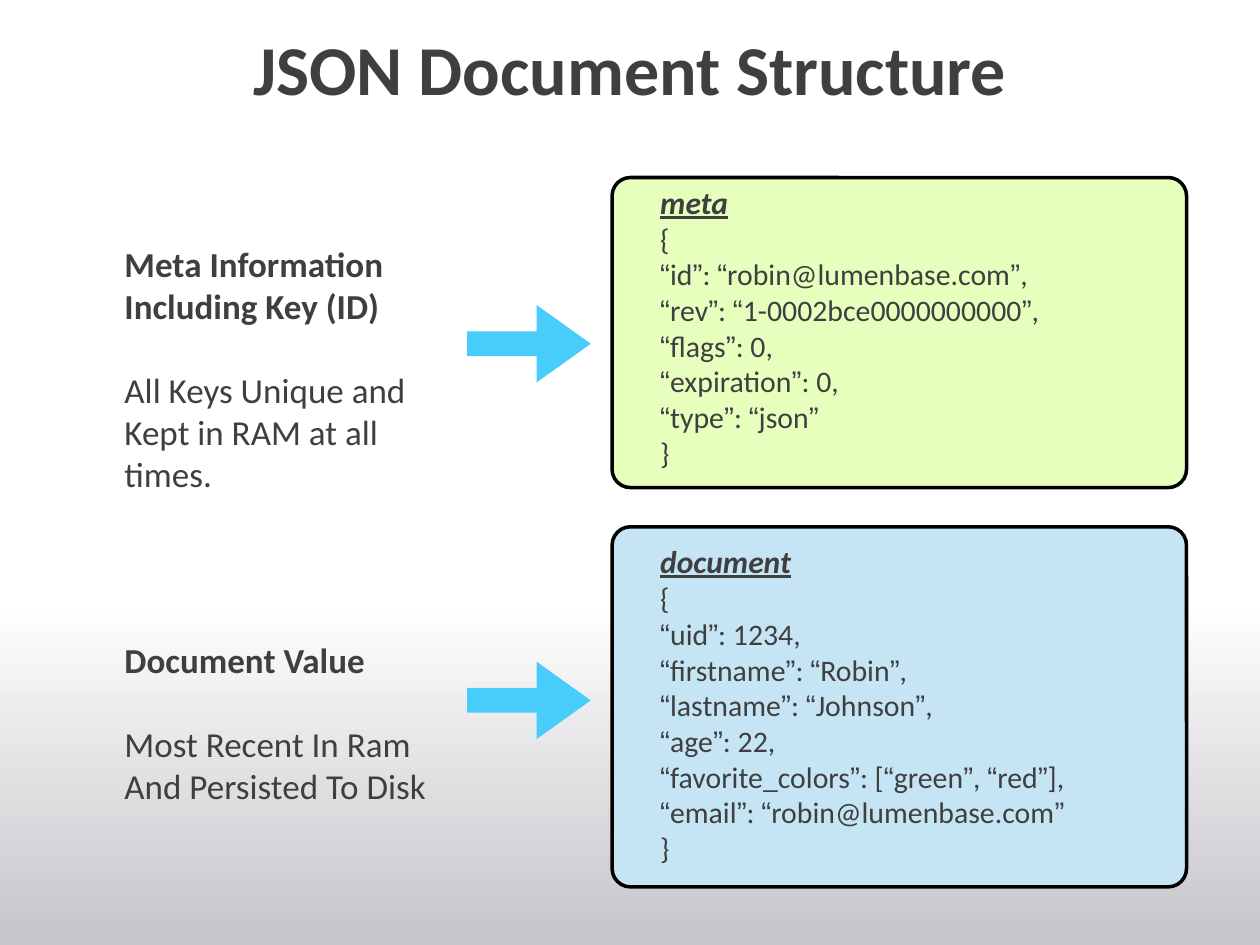
import itertools

import pptx
import pptx.dml.color
import pptx.enum.shapes
import pptx.enum.text
import pptx.util

Cm, Pt = pptx.util.Cm, pptx.util.Pt
SHAPE = pptx.enum.shapes.MSO_SHAPE
ALIGN = pptx.enum.text.PP_ALIGN

# Content
TITLE = "JSON Document Structure"
LISTINGS = [
    ("meta", [
        "{",
        "“id”: “robin@lumenbase.com”,",
        "“rev”: “1-0002bce0000000000”,",
        "“flags”: 0,",
        "“expiration”: 0,",
        "“type”: “json”",
        "}",
    ]),
    ("document", [
        "{",
        "“uid”: 1234,",
        "“firstname”: “Robin”,",
        "“lastname”: “Johnson”,",
        "“age”: 22,",
        "“favorite_colors”: [“green”, “red”],",
        "“email”: “robin@lumenbase.com”",
        "}",
    ]),
]
# Heading, explanation, top and height in cm
NOTES = [
    ("Meta Information Including Key (ID)",
     "All Keys Unique and Kept in RAM at all times.", 4.88, 5.21),
    ("Document Value",
     "Most Recent In Ram And Persisted To Disk", 12.88, 3.73),
]
# Top and height in cm, fill, corner radius ratio
PANELS = [(3.58, 6.25, "E6FFBD", 0.059), (10.62, 7.26, "C5E5F5", 0.051)]
ARROW_TOPS = [6.15, 13.34]

WIDTH, HEIGHT = 25.4, 19.05
INK, BLACK, SKY = "3F3F3F", "000000", "47CCFC"


def color(value):
    return pptx.dml.color.RGBColor.from_string(value)


def add_shape(page, kind, left, top, width, height, fill=None):
    shape = page.shapes.add_shape(kind, Cm(left), Cm(top), Cm(width), Cm(height))
    shape.shadow.inherit = False
    shape.line.fill.background()
    if fill:
        shape.fill.solid()
        shape.fill.fore_color.rgb = color(fill)
    return shape


def add_box(page, left, top, width, height, wrap=True):
    box = page.shapes.add_textbox(Cm(left), Cm(top), Cm(width), Cm(height))
    frame = box.text_frame
    frame.word_wrap = wrap
    frame.margin_left = frame.margin_right = 0
    frame.margin_top = frame.margin_bottom = 0
    return frame


def add_para(frame, first=False, before=0):
    para = frame.paragraphs[0] if first else frame.add_paragraph()
    para.space_before = Pt(before)
    return para


def add_span(para, text, size, bold=False, font="Calibri"):
    span = para.add_run()
    span.text = text
    span.font.name, span.font.size, span.font.bold = font, Pt(size), bold
    span.font.color.rgb = color(INK)
    return span


deck = pptx.Presentation()
deck.slide_width, deck.slide_height = Cm(WIDTH), Cm(HEIGHT)
page = deck.slides.add_slide(deck.slide_layouts[6])

# Grey fade along the bottom
fade = add_shape(page, SHAPE.RECTANGLE, 0, 12.07, WIDTH, HEIGHT - 12.07)
fade.fill.gradient()
fade.fill.gradient_angle = 90
for stop, shade in zip(fade.fill.gradient_stops, ("C5C5CB", "FFFFFF")):
    stop.color.rgb = color(shade)

# Title
para = add_para(add_box(page, 1.27, 0.71, WIDTH - 2 * 1.27, 1.73), first=True)
para.alignment, para.line_spacing = ALIGN.CENTER, 0.9
add_span(para, TITLE, 40, bold=True)

# Panels behind the listings
for top, height, fill, radius in PANELS:
    panel = add_shape(page, SHAPE.ROUNDED_RECTANGLE, 12.34, top, 11.58, height, fill)
    panel.adjustments[0] = radius
    panel.line.color.rgb = color(BLACK)
    panel.line.width = Pt(2)

# Both listings in one column, with curly quotes in Arial
frame = add_box(page, 13.31, 3.68, 8.92, 13.89, wrap=False)
for index, (heading, lines) in enumerate(LISTINGS):
    para = add_para(frame, first=index == 0, before=41 * index)
    span = add_span(para, heading, 18, bold=True)
    span.font.italic = span.font.underline = True
    for line in lines:
        para = add_para(frame)
        for quote, letters in itertools.groupby(line, key=lambda c: c in "“”"):
            add_span(para, "".join(letters), 17, font="Arial" if quote else "Calibri")

# Notes on the left
for heading, detail, top, height in NOTES:
    frame = add_box(page, 2.51, top, 6.73, height)
    add_span(add_para(frame, first=True), heading, 20, bold=True)
    add_span(add_para(frame, before=24), detail, 20)

# Arrows from notes to panels
for top in ARROW_TOPS:
    arrow = add_shape(page, SHAPE.RIGHT_ARROW, 9.42, top, 2.49, 1.56, SKY)
    arrow.adjustments[0], arrow.adjustments[1] = 0.32, 0.7

deck.save("out.pptx")
